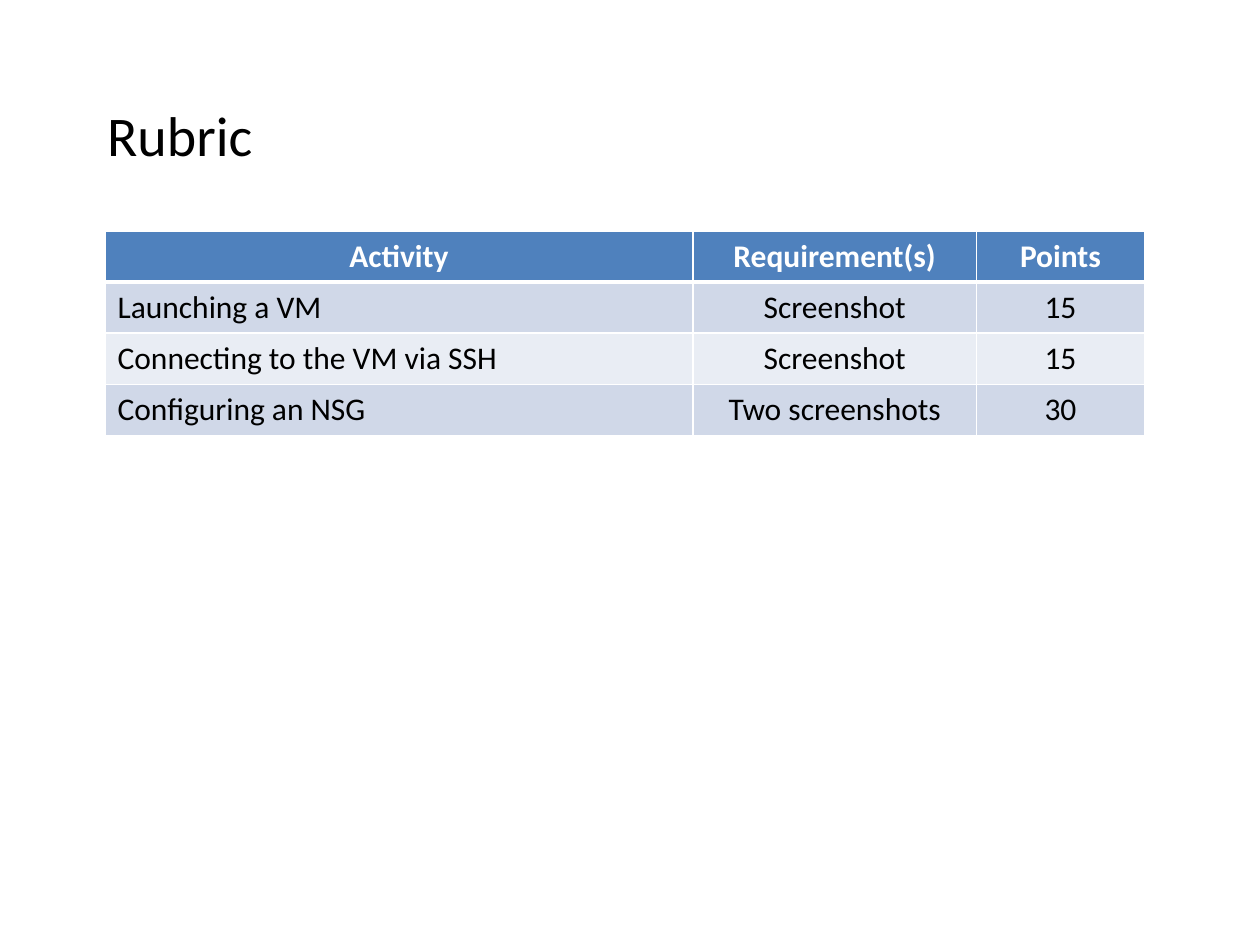
from dataclasses import dataclass
from typing import Any

from lxml.etree import SubElement
from pptx import Presentation
from pptx.dml.color import RGBColor
from pptx.enum.text import PP_ALIGN
from pptx.oxml.ns import qn
from pptx.util import Inches, Pt

ROWS = [
    ("Activity", "Requirement(s)", "Points"),
    ("Launching a VM", "Screenshot", "15"),
    ("Connecting to the VM via SSH", "Screenshot", "15"),
    ("Configuring an NSG", "Two screenshots", "30"),
]


def color(code):
    """Turn a hex string into a colour."""
    return RGBColor.from_string(code)


@dataclass
class RubricPage:
    """Hold the style and the current slide, with lengths on a 1/12 inch grid."""

    page: Any
    font: str = "Calibri"
    ink: str = "000000"
    paper: str = "FFFFFF"
    header: str = "4F81BD"
    bands: tuple = ("D0D8E8", "E9EDF4")

    def grid(self, *units):
        """Convert grid units to slide lengths."""
        return [Inches(unit / 12) for unit in units]

    def add_text(self, para, text, size, code, bold=False):
        """Add one styled run to a paragraph."""
        span = para.add_run()
        span.text = text
        span.font.name = self.font
        span.font.size = Pt(size)
        span.font.bold = bold
        span.font.color.rgb = color(code)

    def heading(self, text, place):
        """Set the heading in the body placeholder and drop the unused title."""
        title = self.page.shapes.title
        title.element.getparent().remove(title.element)
        box = self.page.placeholders[1]
        box.left, box.top, box.width, box.height = self.grid(*place)
        para = box.text_frame.paragraphs[0]
        SubElement(para._p.get_or_add_pPr(), qn("a:buNone"))
        self.add_text(para, text, 32, self.ink)

    def border(self, cell, side, points):
        """Draw one cell edge in the paper colour."""
        line = SubElement(cell._tc.get_or_add_tcPr(), qn(f"a:ln{side}"), w=str(Pt(points)))
        fill = SubElement(line, qn("a:solidFill"))
        SubElement(fill, qn("a:srgbClr"), val=self.paper)

    def cell(self, cell, text, row, column):
        """Style one table cell according to its row and column."""
        is_header = row == 0
        thick_side = {0: "B", 1: "T"}.get(row)
        for side in "LRTB":
            self.border(cell, side, 3 if side == thick_side else 1)
        cell.fill.solid()
        cell.fill.fore_color.rgb = color(self.header if is_header else self.bands[(row - 1) % 2])
        para = cell.text_frame.paragraphs[0]
        para.alignment = PP_ALIGN.CENTER if is_header or column else PP_ALIGN.LEFT
        self.add_text(para, text, 18, self.paper if is_header else self.ink, is_header)

    def table(self, rows, left, top, widths, row_height):
        """Add a table with a header row and banded body rows."""
        place = self.grid(left, top, sum(widths), row_height * len(rows))
        table = self.page.shapes.add_table(len(rows), len(widths), *place).table
        for column, width in zip(table.columns, self.grid(*widths)):
            column.width = width
        for row, texts in enumerate(rows):
            table.rows[row].height = self.grid(row_height)[0]
            for column, text in enumerate(texts):
                self.cell(table.cell(row, column), text, row, column)


def main():
    """Build the rubric slide and save it."""
    deck = Presentation()
    deck.slide_width, deck.slide_height = Inches(10), Inches(7.5)
    rubric = RubricPage(deck.slides.add_slide(deck.slide_layouts[1]))
    rubric.heading("Rubric", (9, 9, 108, 59.4))
    rubric.table(ROWS, left=10, top=22, widths=(56, 27, 16), row_height=4.86)
    deck.save("out.pptx")


if __name__ == "__main__":
    main()
